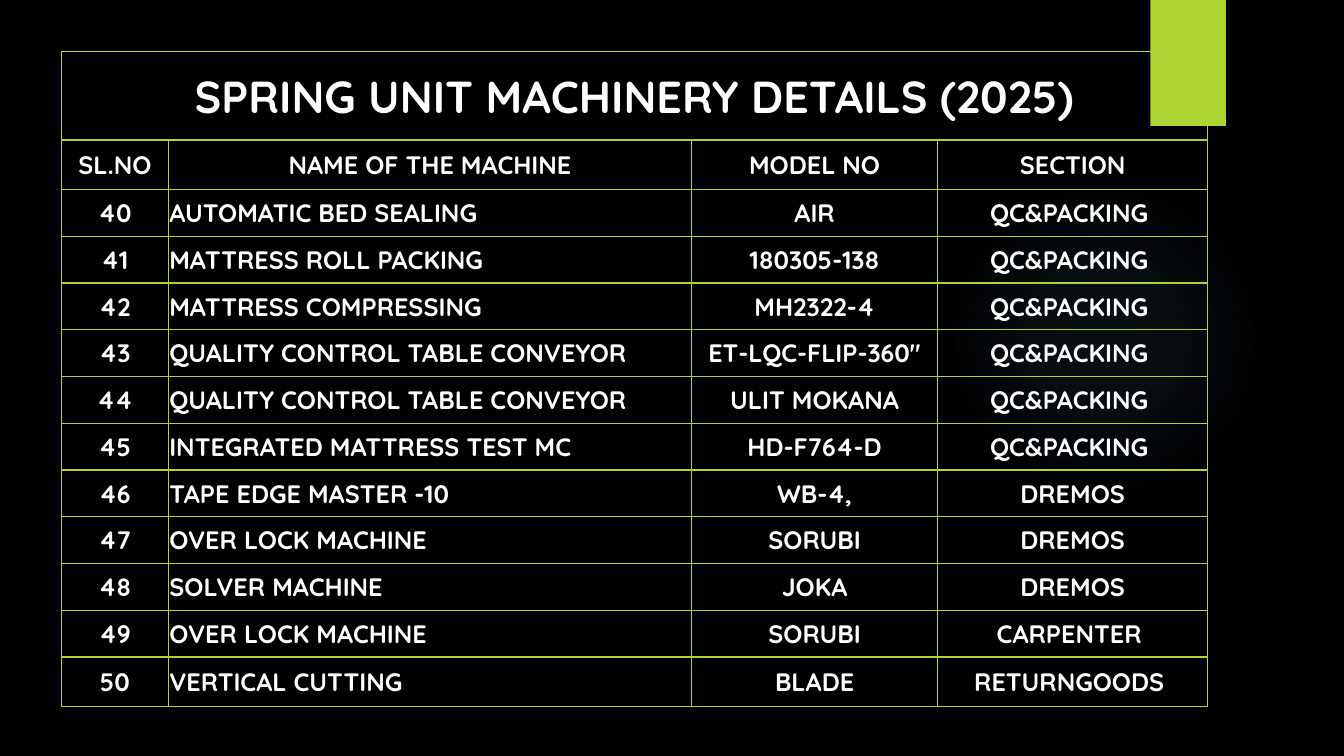
import dataclasses

import lxml.etree
import pptx
import pptx.dml.color
import pptx.enum.shapes
import pptx.enum.text
import pptx.oxml
import pptx.oxml.ns
import pptx.util

Inches = pptx.util.Inches
Color = pptx.dml.color.RGBColor
Align = pptx.enum.text.PP_ALIGN
Kind = pptx.enum.shapes.MSO_SHAPE

BLACK = Color(0x00, 0x00, 0x00)
WHITE = Color(0xFF, 0xFF, 0xFF)
LIME = Color(0xAC, 0xD4, 0x33)
SKY = Color(0x7A, 0xC4, 0xF0)
FONT = "Quicksand"
NS = pptx.oxml.ns.nsdecls("a")


@dataclasses.dataclass
class Box:
    left: float
    top: float
    width: float
    height: float

    def spot(self) -> tuple:
        return tuple(map(Inches, dataclasses.astuple(self)))


@dataclasses.dataclass
class Entry:
    name: str
    model: str
    section: str


GLOW = Box(9.41, 1.83, 3.08, 3.08)
BAR = Box(11.41, 0, 0.75, 1.25)
GRID = Box(0.61, 0.51, 11.37, 6.5)
WIDTHS = [1.06, 5.19, 2.44, 2.68]
TITLE = "SPRING UNIT MACHINERY DETAILS (2025)"
HEADS = ["SL.NO", "NAME OF THE MACHINE", "MODEL NO", "SECTION"]
FIRST = 40
CHECK = "QC&PACKING "
ENTRIES = [
    Entry("AUTOMATIC BED SEALING", "AIR", CHECK),
    Entry("MATTRESS ROLL PACKING", "180305-138", CHECK),
    Entry("MATTRESS COMPRESSING", "MH2322-4", CHECK),
    Entry("QUALITY CONTROL TABLE CONVEYOR", 'ET-LQC-FLIP-360"', CHECK),
    Entry("QUALITY CONTROL TABLE CONVEYOR", "ULIT MOKANA", CHECK),
    Entry("INTEGRATED MATTRESS TEST MC", "HD-F764-D", CHECK),
    Entry("TAPE EDGE MASTER -10", "WB-4,", "DREMOS"),
    Entry("OVER LOCK MACHINE", "SORUBI", "DREMOS"),
    Entry("SOLVER MACHINE", "JOKA", "DREMOS"),
    Entry("OVER LOCK MACHINE", "SORUBI", "CARPENTER "),
    Entry("VERTICAL CUTTING", "BLADE", "RETURNGOODS "),
]


def write(cell, text: str, *, size: int = 18, align=Align.CENTER) -> None:
    cell.vertical_anchor = pptx.enum.text.MSO_ANCHOR.MIDDLE
    cell.margin_left = cell.margin_top = cell.margin_right = Inches(0.01)
    cell.margin_bottom = 0
    para = cell.text_frame.paragraphs[0]
    para.alignment = align
    run = para.add_run()
    run.text = text
    run.font.name = FONT
    run.font.size = pptx.util.Pt(size)
    run.font.bold = True
    run.font.color.rgb = WHITE


def frame(cell) -> None:
    props = cell._tc.get_or_add_tcPr()
    for side in "LRTB":
        props.append(pptx.oxml.parse_xml(
            f'<a:ln{side} {NS} w="12700"><a:solidFill>'
            f'<a:srgbClr val="{LIME}"/></a:solidFill></a:ln{side}>'))
    cell.fill.background()


def draw(slide, kind, box: Box, color: Color):
    shape = slide.shapes.add_shape(kind, *box.spot())
    shape.shadow.inherit = False
    shape.line.fill.background()
    shape.fill.solid()
    shape.fill.fore_color.rgb = color
    return shape


def fade(shape, color: Color, stops: dict[int, int]) -> None:
    marks = "".join(
        f'<a:gs pos="{pos * 1000}"><a:srgbClr val="{color}">'
        f'<a:alpha val="{alpha * 1000}"/></a:srgbClr></a:gs>'
        for pos, alpha in stops.items())
    solid = shape._element.spPr.find(pptx.oxml.ns.qn("a:solidFill"))
    solid.getparent().replace(solid, pptx.oxml.parse_xml(
        f'<a:gradFill {NS}><a:gsLst>{marks}</a:gsLst><a:path path="circle">'
        '<a:fillToRect l="50000" t="50000" r="50000" b="50000"/>'
        '</a:path></a:gradFill>'))


def chart(slide) -> None:
    lines = [HEADS] + [
        [str(num), item.name, item.model, item.section]
        for num, item in enumerate(ENTRIES, FIRST)]
    step = (GRID.height - 0.88 - 2 * 0.49) / (len(lines) - 2)
    heights = [0.88, 0.49] + [step] * (len(lines) - 2) + [0.49]
    table = slide.shapes.add_table(
        len(heights), len(WIDTHS), *GRID.spot()).table
    table.first_row = table.horz_banding = False
    for col, width in zip(table.columns, WIDTHS):
        col.width = Inches(width)
    for row, height in zip(table.rows, heights):
        row.height = Inches(height)
    for cell in table.iter_cells():
        frame(cell)
    table.cell(0, 0).merge(table.cell(0, len(WIDTHS) - 1))
    write(table.cell(0, 0), TITLE, size=32)
    for row, line in enumerate(lines, 1):
        for col, text in enumerate(line):
            left = row > 1 and col == 1
            write(table.cell(row, col), text,
                  align=Align.LEFT if left else Align.CENTER)


def main() -> None:
    deck = pptx.Presentation()
    deck.slide_width = Inches(13.33)
    deck.slide_height = Inches(7.5)
    slide = deck.slides.add_slide(deck.slide_layouts[6])
    slide.background.fill.solid()
    slide.background.fill.fore_color.rgb = BLACK
    glow = draw(slide, Kind.OVAL, GLOW, SKY)
    fade(glow, SKY, {0: 7, 36: 6, 69: 0})
    draw(slide, Kind.RECTANGLE, BAR, LIME)
    chart(slide)
    deck.save("out.pptx")


if __name__ == "__main__":
    main()
